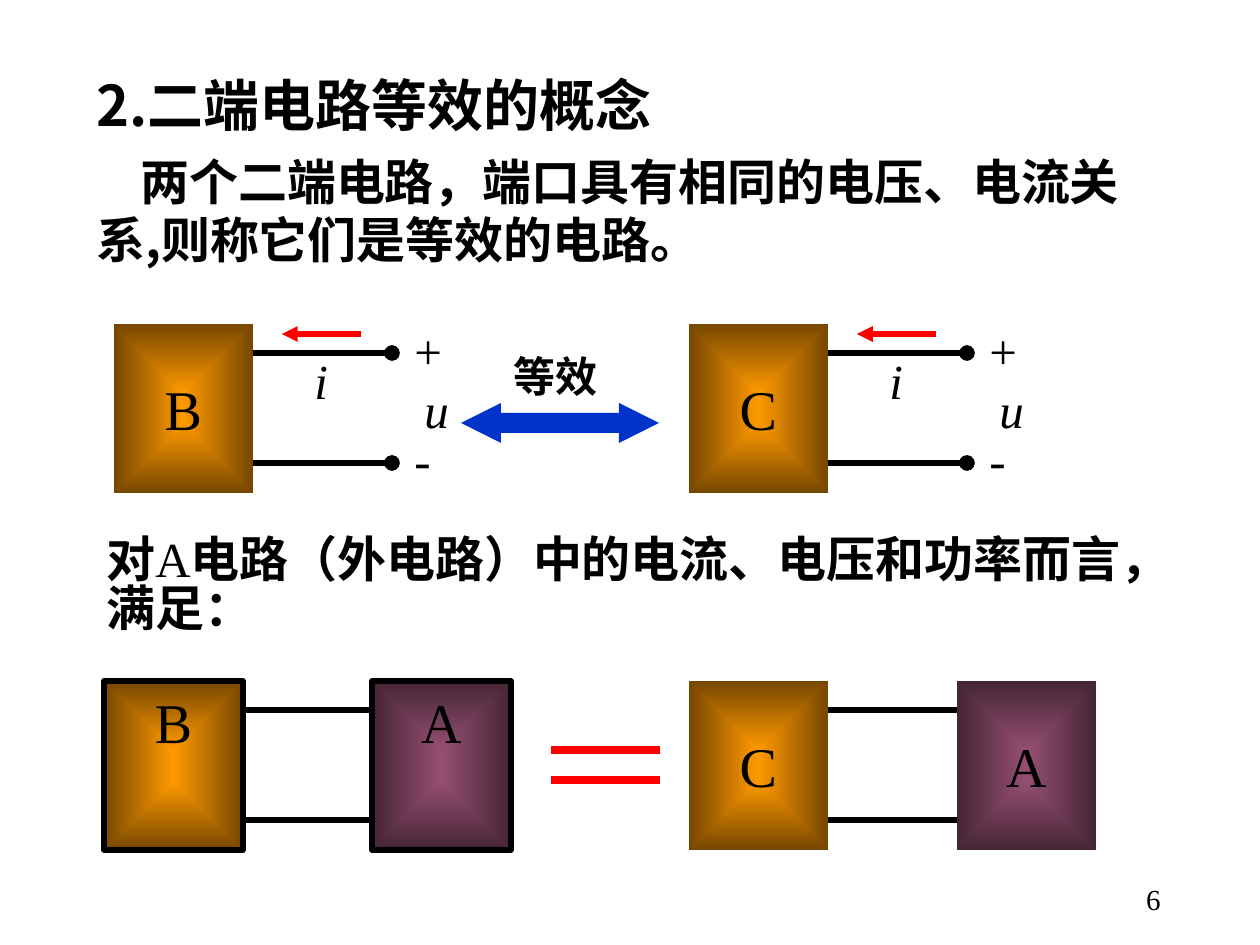
from lxml import etree
from pptx import Presentation
from pptx.dml.color import RGBColor
from pptx.enum.shapes import MSO_CONNECTOR, MSO_SHAPE
from pptx.enum.text import MSO_ANCHOR, PP_ALIGN
from pptx.oxml.ns import qn
from pptx.util import Emu, Pt

RECTANGLE = MSO_SHAPE.RECTANGLE
DOUBLE_ARROW = MSO_SHAPE.LEFT_RIGHT_ARROW
STRAIGHT = MSO_CONNECTOR.STRAIGHT
TOP, MIDDLE = MSO_ANCHOR.TOP, MSO_ANCHOR.MIDDLE
LEFT, CENTER, RIGHT = PP_ALIGN.LEFT, PP_ALIGN.CENTER, PP_ALIGN.RIGHT

PX_PER_INCH = 126
SERIF, HAN, SANS = "Times New Roman", "Noto Sans CJK SC", "Arial"
COLORS = {
    "ink": "000000",
    "red": "FF0000",
    "blue": "0033CC",
    "orange": "FF9900",
    "orange_edge": "764700",
    "plum": "954F72",
    "plum_edge": "452535",
}
BLOCK_W, BLOCK_H = 139, 169
WIRE_ROWS = (29, 139)

TITLE = {"name": HAN, "size": Pt(32), "bold": True}
BODY = {"name": HAN, "size": Pt(28), "bold": True}
OUTSIDE = {"name": SERIF, "size": Pt(28), "bold": False}
CAPTION = {"name": SANS, "size": Pt(24), "bold": True}
BLOCK_LABEL = {"name": SERIF, "size": Pt(32)}
POLARITY = {"name": SERIF, "size": Pt(28)}
VARIABLE = {"name": SERIF, "size": Pt(28), "italic": True}
PAGE = {"name": SERIF, "size": Pt(16.6)}


def px(length):
    return Emu(round(length * 914400 / PX_PER_INCH))


def rgb(color):
    return RGBColor.from_string(COLORS[color])


def apply(target, values):
    for attribute, value in values.items():
        setattr(target, attribute, value)


def write(holder, runs, frame_format, paragraph_format):
    apply(holder.text_frame, frame_format)
    paragraph = holder.text_frame.paragraphs[0]
    apply(paragraph, paragraph_format)
    for words, font_format in runs:
        run = paragraph.add_run()
        run.text = words
        run.font.color.rgb = rgb("ink")
        apply(run.font, font_format)
        east_asian = etree.SubElement(run.font._element, qn("a:ea"))
        east_asian.set("typeface", font_format["name"])
    return paragraph


def add_text(slide, box, runs, anchor=TOP, **paragraph_format):
    holder = slide.shapes.add_textbox(*map(px, box))
    frame_format = {"word_wrap": True, "vertical_anchor": anchor}
    return write(holder, runs, frame_format, paragraph_format)


def add_line(slide, start, end, color="ink", width=3, tail=None):
    line = slide.shapes.add_connector(STRAIGHT, *map(px, start + end))
    line.line.color.rgb = rgb(color)
    line.line.width = Pt(width)
    if tail:
        etree.SubElement(line.line._get_or_add_ln(), qn("a:tailEnd"), type=tail)
    etree.SubElement(line._element.spPr, qn("a:effectLst"))


def add_block(slide, left, top, label, color, outlined):
    block = slide.shapes.add_shape(
        RECTANGLE, *map(px, (left, top, BLOCK_W, BLOCK_H)))
    block.shadow.inherit = False
    block.fill.gradient()
    for stop, shade in zip(block.fill.gradient_stops, (color, color + "_edge")):
        stop.color.rgb = rgb(shade)
    gradient = block._element.spPr.find(qn("a:gradFill"))
    gradient.remove(gradient.find(qn("a:lin")))
    spread = etree.SubElement(gradient, qn("a:path"), path="rect")
    etree.SubElement(spread, qn("a:fillToRect"),
                     {side: "50000" for side in "ltrb"})
    if outlined:
        block.line.color.rgb = rgb("ink")
        block.line.width = Pt(3)
    else:
        block.line.fill.background()
    frame_format = {"word_wrap": outlined,
                    "vertical_anchor": TOP if outlined else MIDDLE}
    write(block, [(label, BLOCK_LABEL)], frame_format, {"alignment": CENTER})


def add_wires(slide, left, top):
    for row in WIRE_ROWS:
        add_line(slide, (left + BLOCK_W, top + row),
                 (left + 2 * BLOCK_W, top + row), tail="oval")


def add_port(slide, left, top, label):
    add_block(slide, left, top, label, "orange", False)
    add_wires(slide, left, top)
    add_line(slide, (left + 247, top + 10), (left + 168, top + 10),
             "red", tail="triangle")
    for symbol, x, y, font_format in (
        ("+", 288, -10, POLARITY),
        ("-", 288, 99, POLARITY),
        ("u", 298, 49, VARIABLE),
        ("i", 188, 20, VARIABLE),
    ):
        add_text(slide, (left + x, top + y, 49, 72), [(symbol, font_format)])


def add_connected_pair(slide, left, top, label, outlined):
    add_block(slide, left, top, label, "orange", outlined)
    add_wires(slide, left, top)
    add_block(slide, left + 268, top, "A", "plum", outlined)


def add_equivalence(slide, left, top):
    arrow = slide.shapes.add_shape(
        DOUBLE_ARROW, *map(px, (left, top + 59, 198, 40)))
    arrow.shadow.inherit = False
    arrow.adjustments[0], arrow.adjustments[1] = 0.5, 1.0
    arrow.fill.solid()
    arrow.fill.fore_color.rgb = rgb("blue")
    arrow.line.fill.background()
    add_text(slide, (left + 40, top, 159, 63), [("等效", CAPTION)])


def add_equals(slide, left, top):
    for y in (top, top + 30):
        add_line(slide, (left, y), (left + 109, y), "red", 4.5)


def add_definition(slide, left, top):
    add_text(slide, (left, top, 645, 81), [("2.二端电路等效的概念", TITLE)],
             line_spacing=0.83)
    statement = add_text(
        slide, (left, top + 69, 1081, 154),
        [("两个二端电路，端口具有相同的电压、电流关系,则称它们是等效的电路。", BODY)],
        line_spacing=1.0)
    statement._p.get_or_add_pPr().set("indent", str(px(44)))


def add_condition(slide, left, top):
    add_text(slide, (left, top, 1121, 131),
             [("对", BODY), ("A", OUTSIDE),
              ("电路（外电路）中的电流、电压和功率而言，满足：", BODY)],
             line_spacing=0.83)


def main():
    deck = Presentation()
    apply(deck, {"slide_width": px(1260), "slide_height": px(945)})
    slide = deck.slides.add_slide(deck.slide_layouts[6])
    add_definition(slide, 84, 76)
    add_port(slide, 114, 324, "B")
    add_equivalence(slide, 461, 344)
    add_port(slide, 689, 324, "C")
    add_condition(slide, 94, 532)
    add_connected_pair(slide, 104, 681, "B", True)
    add_equals(slide, 551, 750)
    add_connected_pair(slide, 689, 681, "C", False)
    add_text(slide, (890, 876, 283, 50), [("6", PAGE)], MIDDLE,
             alignment=RIGHT, line_spacing=0.9)
    deck.save("out.pptx")


if __name__ == "__main__":
    main()
